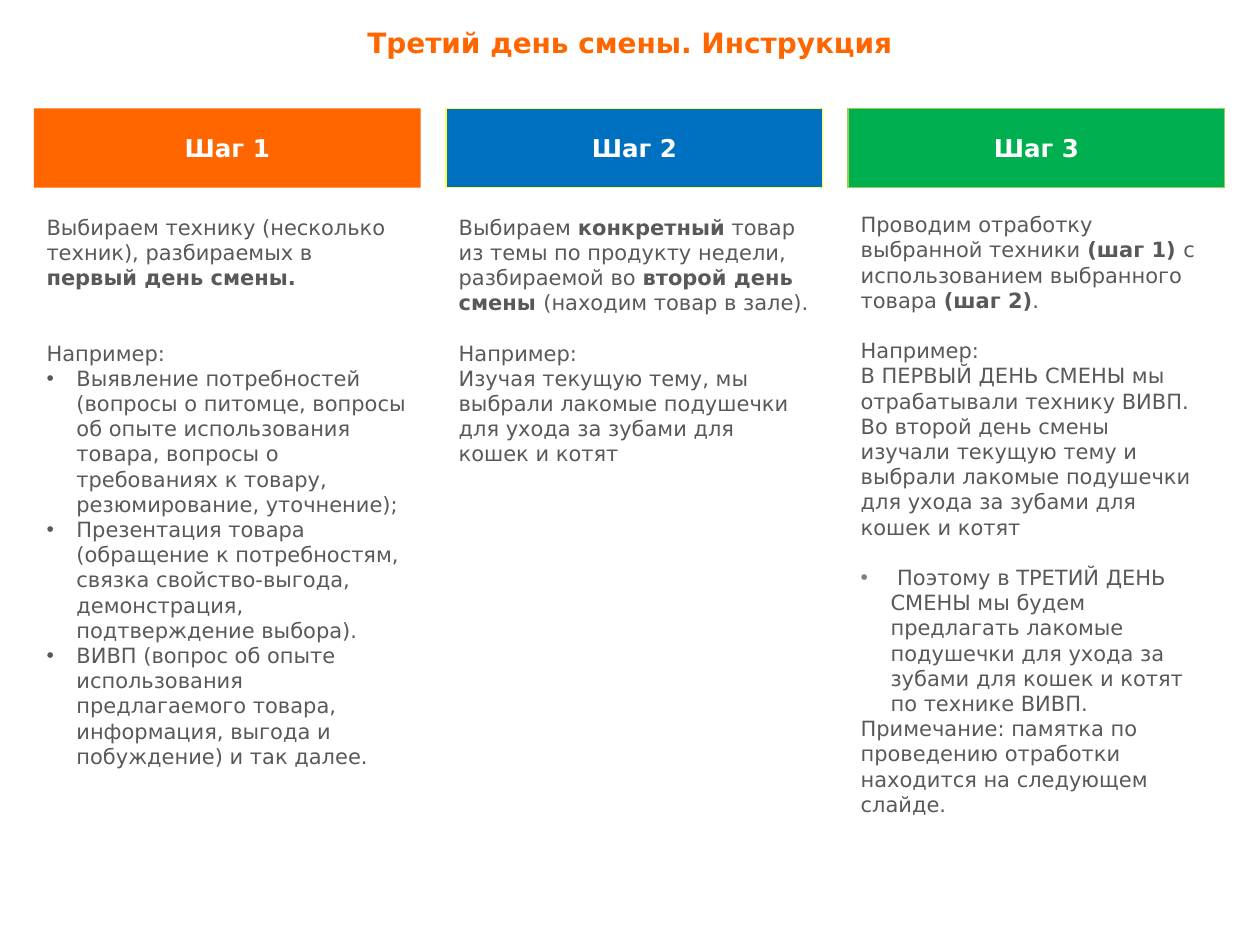
"""Build the three-step instruction slide for the third day of a shift."""
from dataclasses import dataclass

from lxml import etree
from pptx import Presentation
from pptx.dml.color import RGBColor
from pptx.enum.shapes import MSO_SHAPE
from pptx.enum.text import MSO_ANCHOR, MSO_AUTO_SIZE, PP_ALIGN
from pptx.oxml.ns import qn
from pptx.util import Pt

RECTANGLE = MSO_SHAPE.RECTANGLE
TOP, MIDDLE = MSO_ANCHOR.TOP, MSO_ANCHOR.MIDDLE
LEFT, CENTER = PP_ALIGN.LEFT, PP_ALIGN.CENTER
NO_FIT = MSO_AUTO_SIZE.NONE
FONT = "DejaVu Sans"
ORANGE, WHITE, GRAY, LIGHT_GRAY = "FF6600", "FFFFFF", "595959", "808080"
LINE = 14.4
HANGING = 17.1
COMPARISON_LAYOUT = 4


@dataclass(frozen=True)
class Span:
    text: str
    bold: bool = False


@dataclass(frozen=True)
class Paragraph:
    spans: tuple[Span, ...]
    before: float = 0
    bullet: str | None = None


@dataclass(frozen=True)
class Step:
    heading: str
    fill: str
    outline: str | None
    left: float
    width: float
    body_top: float
    body_width: float
    body_height: float
    paragraphs: tuple[Paragraph, ...]


def plain(text: str, before: float = 0, bullet: str | None = None) -> Paragraph:
    """Return a paragraph with a single regular span."""
    return Paragraph((Span(text),), before, bullet)


PRODUCT = "лакомые подушечки для ухода за зубами для кошек и котят"

STEPS = (
    Step("Шаг 1", ORANGE, None, 19.4, 221, 118.8, 221, 357, (
        Paragraph((Span("Выбираем технику (несколько техник), разбираемых в "),
                   Span("первый день смены.", True))),
        plain("Например:", 2 * LINE),
        plain("Выявление потребностей (вопросы о питомце, вопросы об опыте "
              "использования товара, вопросы о требованиях к товару, "
              "резюмирование, уточнение);", bullet=GRAY),
        plain("Презентация товара (обращение к потребностям, связка "
              "свойство-выгода, демонстрация, подтверждение выбора).", bullet=GRAY),
        plain("ВИВП (вопрос об опыте использования предлагаемого товара, "
              "информация, выгода и побуждение) и так далее.", bullet=GRAY),
    )),
    Step("Шаг 2", "0070C0", "FFFF47", 254.9, 215.3, 118.8, 215.3, 215.3, (
        Paragraph((Span("Выбираем "), Span("конкретный", True),
                   Span(" товар из темы по продукту недели, разбираемой во "),
                   Span("второй день смены ", True),
                   Span("(находим товар в зале)."))),
        plain("Например:", LINE),
        plain(f"Изучая текущую тему, мы выбрали {PRODUCT}"),
    )),
    Step("Шаг 3", "00B050", "92D050", 484.6, 215.3, 117.4, 209.5, 357, (
        Paragraph((Span("Проводим отработку выбранной техники "),
                   Span("(шаг 1) ", True),
                   Span("с использованием выбранного товара "),
                   Span("(шаг 2)", True), Span("."))),
        plain("Например:", LINE),
        plain("В ПЕРВЫЙ ДЕНЬ СМЕНЫ мы отрабатывали технику ВИВП. Во второй день "
              f"смены изучали текущую тему и выбрали {PRODUCT}"),
        plain(f" Поэтому в ТРЕТИЙ ДЕНЬ СМЕНЫ мы будем предлагать {PRODUCT} "
              "по технике ВИВП.", LINE, LIGHT_GRAY),
        plain("Примечание: памятка по проведению отработки находится "
              "на следующем слайде."),
    )),
)


def color(value: str) -> RGBColor:
    """Convert a hex string to a colour."""
    return RGBColor.from_string(value)


def apply(target, values: dict) -> None:
    """Set every named attribute on the target."""
    for name, value in values.items():
        setattr(target, name, value)


def place(box, left: float, top: float, width: float, height: float) -> None:
    """Move and size a shape, in points."""
    apply(box, {"left": Pt(left), "top": Pt(top),
                "width": Pt(width), "height": Pt(height)})


def set_bullet(para, bullet: str | None) -> None:
    """Give a paragraph a hanging bullet, or take its bullet away."""
    properties = para._p.get_or_add_pPr()
    indent = Pt(HANGING) if bullet else 0
    properties.set("marL", str(indent))
    properties.set("indent", str(-indent))
    if not bullet:
        etree.SubElement(properties, qn("a:buNone"))
        return
    bullet_color = etree.SubElement(properties, qn("a:buClr"))
    etree.SubElement(bullet_color, qn("a:srgbClr"), val=bullet)
    etree.SubElement(properties, qn("a:buFont"), typeface="Arial")
    etree.SubElement(properties, qn("a:buChar"), char="•")


def write(box, paragraphs: tuple[Paragraph, ...], size: float, ink: str,
          alignment=LEFT, anchor=TOP) -> None:
    """Fill a shape with formatted paragraphs."""
    frame = box.text_frame
    apply(frame, {"word_wrap": True, "auto_size": NO_FIT, "vertical_anchor": anchor})
    for index, content in enumerate(paragraphs):
        para = frame.add_paragraph() if index else frame.paragraphs[0]
        set_bullet(para, content.bullet)
        apply(para, {"alignment": alignment, "space_before": Pt(content.before)})
        for span in content.spans:
            run = para.add_run()
            run.text = span.text
            apply(run.font, {"name": FONT, "size": Pt(size), "bold": span.bold})
            run.font.color.rgb = color(ink)


def draw_heading(page, step: Step) -> None:
    """Draw the coloured heading bar of a step."""
    bar = page.shapes.add_shape(RECTANGLE, 0, 0, 0, 0)
    place(bar, step.left, 61.9, step.width, 45.4)
    bar.shadow.inherit = False
    bar.fill.solid()
    bar.fill.fore_color.rgb = color(step.fill)
    if step.outline:
        bar.line.color.rgb = color(step.outline)
        bar.line.width = Pt(0.75)
    else:
        bar.line.fill.background()
    write(bar, (Paragraph((Span(step.heading, True),)),), 14, WHITE, CENTER, MIDDLE)


def main() -> None:
    """Build and save the deck."""
    deck = Presentation()
    apply(deck, {"slide_width": Pt(720), "slide_height": Pt(540)})
    page = deck.slides.add_slide(deck.slide_layouts[COMPARISON_LAYOUT])
    title, *bodies = page.placeholders
    place(title, 0, 10.8, 720, 26.6)
    write(title, (Paragraph((Span("Третий день смены. Инструкция", True),)),),
          16, ORANGE, CENTER)
    for step, body in zip(STEPS, bodies):
        draw_heading(page, step)
        place(body, step.left, step.body_top, step.body_width, step.body_height)
        write(body, step.paragraphs, 12, GRAY)
    for spare in bodies[len(STEPS):]:
        spare.element.getparent().remove(spare.element)
    deck.save("out.pptx")


if __name__ == "__main__":
    main()
